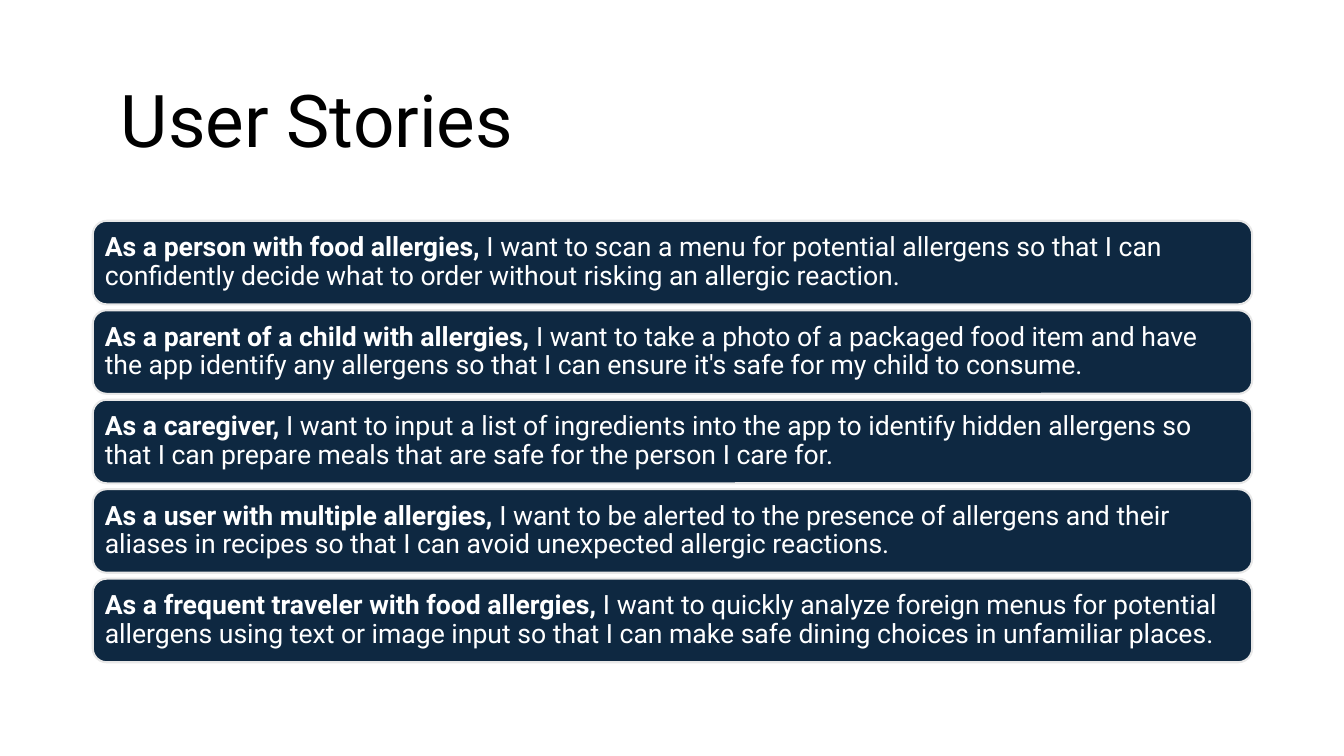
from pptx import Presentation
from pptx.dml.color import RGBColor
from pptx.enum.shapes import MSO_SHAPE as SHAPE
from pptx.enum.text import MSO_ANCHOR as ANCHOR, PP_ALIGN as ALIGN
from pptx.util import Inches, Pt

FONT = "Roboto"
NAVY, PALE, WHITE, BLACK = "0E2841", "E8E8E8", "FFFFFF", "000000"
LEFT, WIDTH = 0.92, 11.5
GAP_SHARE = 0.07  # gap between bars, as a share of a bar's height

STORIES = [
    ("As a person with food allergies,",
     " I want to scan a menu for potential allergens so that I can confidently "
     "decide what to order without risking an allergic reaction."),
    ("As a parent of a child with allergies,",
     " I want to take a photo of a packaged food item and have the app identify "
     "any allergens so that I can ensure it's safe for my child to consume."),
    ("As a caregiver,",
     " I want to input a list of ingredients into the app to identify hidden "
     "allergens so that I can prepare meals that are safe for the person I care for."),
    ("As a user with multiple allergies,",
     " I want to be alerted to the presence of allergens and their aliases in "
     "recipes so that I can avoid unexpected allergic reactions."),
    ("As a frequent traveler with food allergies,",
     " I want to quickly analyze foreign menus for potential allergens using text "
     "or image input so that I can make safe dining choices in unfamiliar places."),
]


def rgb(value):
    return RGBColor.from_string(value)


def add_run(p, text, size, color, bold=False):
    r = p.add_run()
    r.text = text
    r.font.name = FONT
    r.font.size = Pt(size)
    r.font.bold = bold
    r.font.color.rgb = rgb(color)


def set_paragraph(tf):
    """Prepare the frame's first paragraph for left-aligned, centred-height text."""
    tf.word_wrap = True
    tf.vertical_anchor = ANCHOR.MIDDLE
    p = tf.paragraphs[0]
    p.alignment = ALIGN.LEFT
    p.line_spacing = 0.9
    return p


def add_title(s, text, x, y, w, h):
    sp = s.shapes.title
    sp.left, sp.top, sp.width, sp.height = map(Inches, (x, y, w, h))
    add_run(set_paragraph(sp.text_frame), text, 52, BLACK)


def add_story(s, role, wish, x, y, w, h):
    sp = s.shapes.add_shape(SHAPE.ROUNDED_RECTANGLE, *map(Inches, (x, y, w, h)))
    sp.shadow.inherit = False
    sp.fill.solid()
    sp.fill.fore_color.rgb = rgb(NAVY)
    sp.line.color.rgb = rgb(PALE)
    sp.line.width = Pt(1.5)
    tf = sp.text_frame
    tf.margin_left = tf.margin_right = tf.margin_top = tf.margin_bottom = Inches(0.08)
    p = set_paragraph(tf)
    add_run(p, role, 19, WHITE, bold=True)
    add_run(p, wish, 19, WHITE)


def add_stories(s, stories, x, y, w, h):
    """Stack the stories as equal bars that fill the box."""
    bar = h / (len(stories) + GAP_SHARE * (len(stories) - 1))
    for i, (role, wish) in enumerate(stories):
        add_story(s, role, wish, x, y + i * bar * (1 + GAP_SHARE), w, bar)


def main():
    prs = Presentation()
    prs.slide_width, prs.slide_height = Inches(13.33), Inches(7.5)
    s = prs.slides.add_slide(prs.slide_layouts[5])
    add_title(s, "\N{NO-BREAK SPACE}User Stories", LEFT, 0.61, WIDTH, 1.24)
    add_stories(s, STORIES, LEFT, 2.19, WIDTH, 4.38)
    prs.save("out.pptx")


if __name__ == "__main__":
    main()
